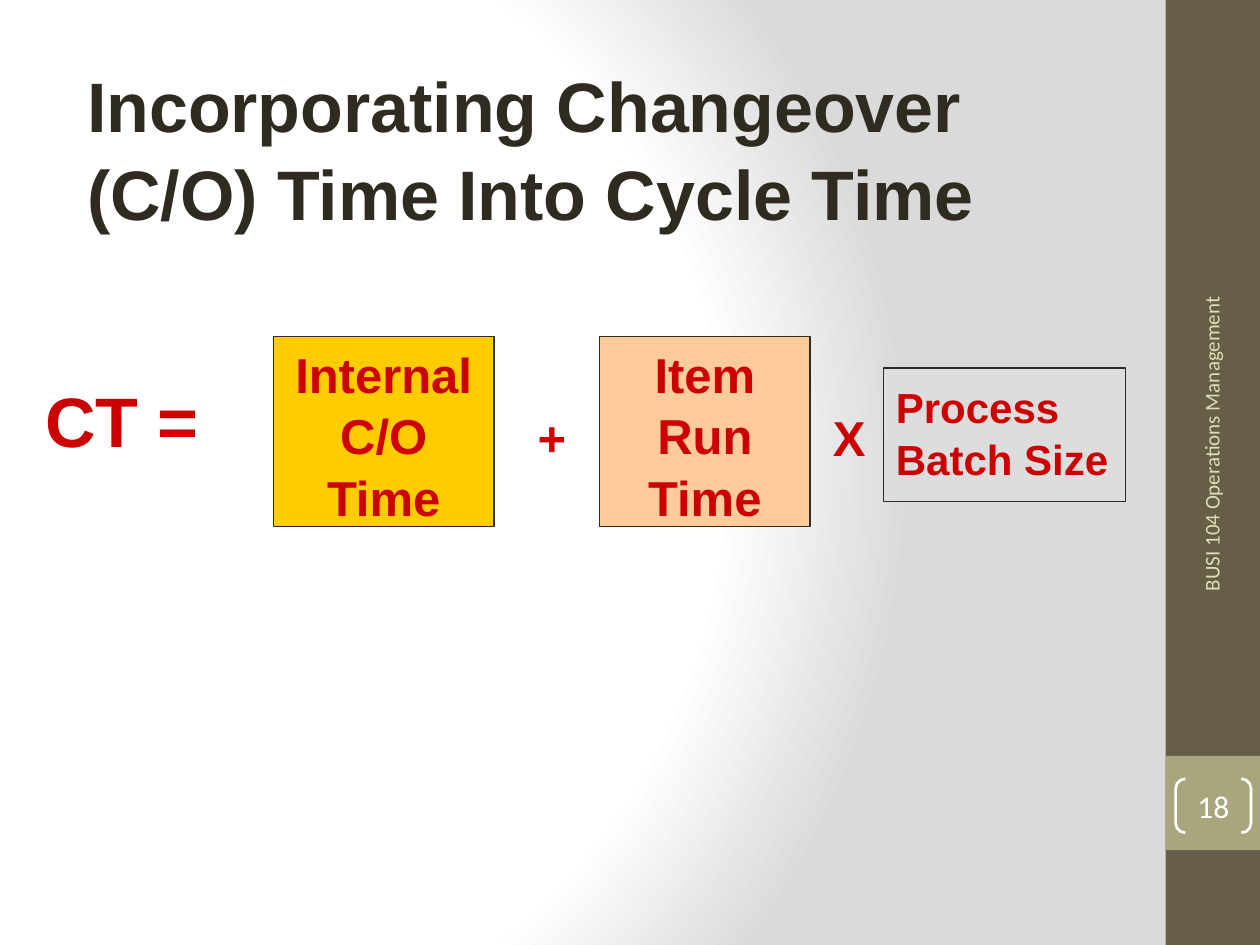
from pptx import Presentation
from pptx.dml.color import RGBColor
from pptx.enum.shapes import MSO_SHAPE as Shape
from pptx.enum.text import MSO_ANCHOR as Anchor, MSO_AUTO_SIZE as AutoSize, PP_ALIGN as Align
from pptx.oxml import parse_xml
from pptx.oxml.ns import nsdecls
from pptx.util import Cm, Pt

COLORS = {
    "white": "FFFFFF", "shade": "DADADA", "rail": "675E47", "tab": "A9A57C",
    "footer": "DFDCB7", "ink": "2F2B20", "red": "CC0000",
    "gold": "FFCC00", "peach": "FFCC99", "grey": "DDDDDD",
}
TITLE = "Incorporating Changeover (C/O) Time Into Cycle Time"
FOOTER = "BUSI 104 Operations Management"
PAGE_NUMBER = "18"

SIDE_BLOCKS = [
    ((23.5, 0, 1.9, 19.05), "rail"),
    ((23.5, 15.24, 1.9, 1.9), "tab"),
]
FORMULA_BOXES = [
    ((5.51, 6.78, 4.45, 3.84), "gold", "Internal C/O Time"),
    ((12.09, 6.78, 4.24, 3.84), "peach", "Item Run Time"),
    ((17.81, 7.42, 4.88, 2.69), "grey", ""),
]
FORMULA_LABELS = [
    ((0.66, 7.42, 3.61, 1.96), "CT =", 40, False),
    ((10.59, 8.05, 1.09, 1.45), "+", 28, False),
    ((16.54, 8.05, 1.17, 1.45), "X", 28, False),
    ((17.81, 7.52, 4.88, 3.68), "Process Batch Size", 24, True),
]


def rgb(name):
    return RGBColor.from_string(COLORS[name])


def add_block(page, kind, place, fill=None, line=None, width=0.75):
    block = page.shapes.add_shape(kind, *map(Cm, place))
    block.shadow.inherit = False
    if fill:
        block.fill.solid()
        block.fill.fore_color.rgb = rgb(fill)
    else:
        block.fill.background()
    if line:
        block.line.color.rgb = rgb(line)
        block.line.width = Pt(width)
    else:
        block.line.fill.background()
    return block


def write(box, text, size, color, font="Arial", bold=True, align=Align.LEFT,
          anchor=Anchor.TOP, wrap=True, spacing=1.04, margins=None):
    frame = box.text_frame
    frame_format = {"auto_size": AutoSize.NONE, "word_wrap": wrap, "vertical_anchor": anchor}
    if margins is not None:
        for side in ("left", "top", "right", "bottom"):
            frame_format[f"margin_{side}"] = Cm(margins)
    for name, value in frame_format.items():
        setattr(frame, name, value)
    para = frame.paragraphs[0]
    para.alignment = align
    para.line_spacing = spacing
    span = para.add_run()
    span.text = text
    for name, value in {"name": font, "size": Pt(size), "bold": bold}.items():
        setattr(span.font, name, value)
    span.font.color.rgb = rgb(color)


def paint_background(page):
    stops = "".join(
        f'<a:gs pos="{position * 1000}"><a:srgbClr val="{COLORS[color]}"/></a:gs>'
        for position, color in ((0, "white"), (75, "white"), (100, "shade"))
    )
    page.element.cSld.insert(0, parse_xml(
        f'<p:bg {nsdecls("p", "a")}><p:bgPr><a:gradFill rotWithShape="1">'
        f'<a:gsLst>{stops}</a:gsLst><a:path path="circle">'
        '<a:fillToRect l="20000" t="50000" r="100000" b="50000"/></a:path>'
        '</a:gradFill><a:effectLst/></p:bgPr></p:bg>'
    ))


def main():
    deck = Presentation()
    deck.slide_width, deck.slide_height = Cm(25.4), Cm(19.05)
    page = deck.slides.add_slide(deck.slide_layouts[5])
    paint_background(page)

    title = page.shapes.title
    title.left, title.top, title.width, title.height = map(Cm, (1.5, 1.07, 20.95, 3.68))
    write(title, TITLE, 40, "ink")

    for place, fill in SIDE_BLOCKS:
        add_block(page, Shape.RECTANGLE, place, fill)

    footer = page.shapes.add_textbox(*map(Cm, (19.76, 9.83, 9.32, 1.12)))
    footer.rotation = 270
    write(footer, FOOTER, 12, "footer", "Calibri", False, Align.RIGHT, Anchor.MIDDLE, spacing=1.0)

    for place, fill, text in FORMULA_BOXES:
        block = add_block(page, Shape.RECTANGLE, place, fill, "ink")
        if text:
            write(block, text, 28, "red", align=Align.CENTER)

    for place, text, size, wrap in FORMULA_LABELS:
        label = page.shapes.add_textbox(*map(Cm, place))
        write(label, text, size, "red", wrap=wrap)

    bracket = add_block(page, Shape.DOUBLE_BRACKET, (23.7, 15.7, 1.52, 1.09), line="white", width=1.5)
    bracket.adjustments[0] = 0.18
    write(bracket, PAGE_NUMBER, 18, "white", "Calibri", False, Align.CENTER, Anchor.MIDDLE,
          spacing=1.0, margins=0)

    deck.save("out.pptx")


if __name__ == "__main__":
    main()
